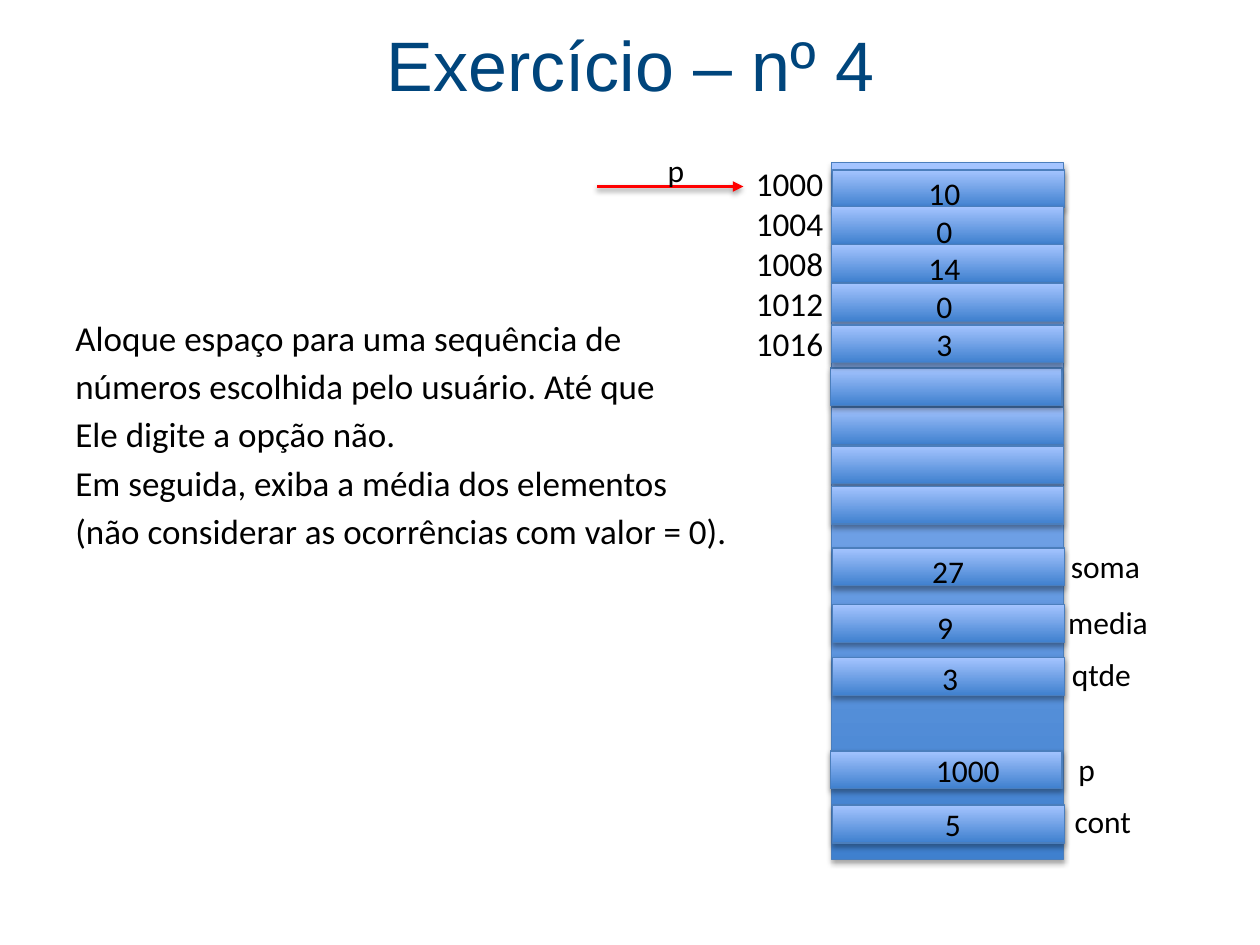
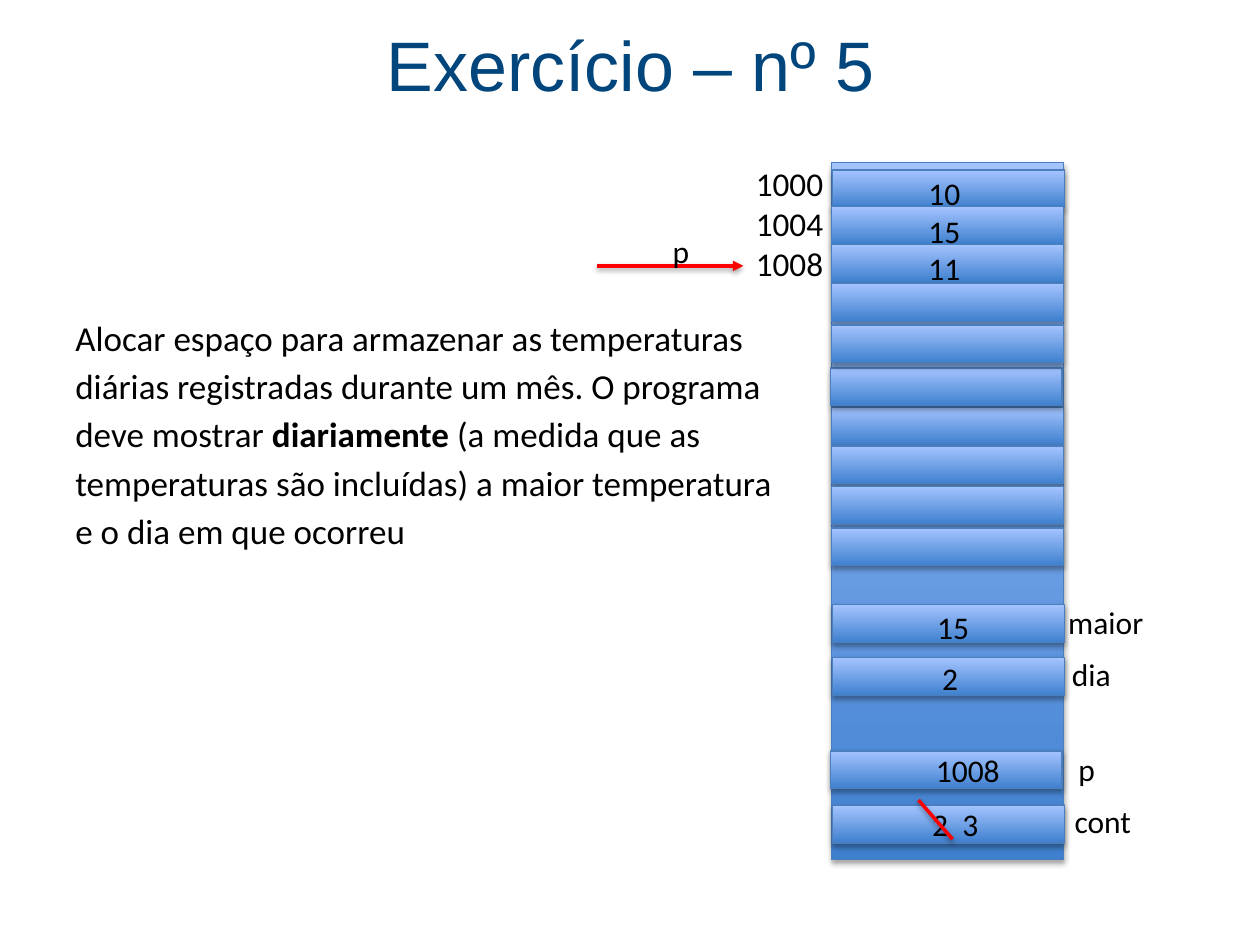
from lxml import etree
from pptx import Presentation
from pptx.dml.color import RGBColor
from pptx.enum.shapes import MSO_CONNECTOR, MSO_SHAPE
from pptx.enum.text import MSO_ANCHOR, PP_ALIGN
from pptx.oxml.ns import qn
from pptx.util import Inches, Pt

TITLE_BLUE = RGBColor(0x00, 0x45, 0x7C)
CELL_DARK = RGBColor(0x3F, 0x80, 0xCE)
CELL_LIGHT = RGBColor(0xA4, 0xC4, 0xFF)
CELL_EDGE = RGBColor(0x4B, 0x7E, 0xBC)
RED = RGBColor(0xFF, 0x00, 0x00)
BLACK = RGBColor(0x00, 0x00, 0x00)

# Memory column: (left, top) of the array cells, in inches, back to front
CELL_SIZE = (1.84, 0.3)
MEMORY = (6.6, 1.29, 1.84, 5.53)
ARRAY_CELLS = [(6.61, 1.35), (6.6, 1.64), (6.6, 1.94), (6.6, 2.25), (6.6, 3.23),
               (6.59, 2.92), (6.6, 2.58), (6.6, 3.54), (6.6, 3.86)]

# Slots for named variables: cell corner, label corner, top of the value
SLOTS = {
    "first": ((6.61, 4.35), (8.4, 4.29), 4.33),
    "second": ((6.61, 4.8), (8.38, 4.74), 4.78),
    "third": ((6.61, 5.22), (8.41, 5.15), 5.18),
    "pointer": ((6.59, 5.96), (8.46, 5.9), 5.91),
    "counter": ((6.61, 6.39), (8.43, 6.32), 6.34),
}

# Each variable: slot, name, [(value, left of its text box)]
EXERCISES = [
    {
        "title": "Exercício – nº 4",
        "statement": [
            "Aloque espaço para uma sequência de",
            "números escolhida pelo usuário. Até que",
            "Ele digite a opção não.",
            "Em seguida, exiba a média dos elementos",
            "(não considerar as ocorrências com valor = 0).",
        ],
        "addresses": ["1000", "1004", "1008", "1012", "1016"],
        "array": ["10", "0", "14", "0", "3"],
        "extra_cells": [],
        "arrow_y": 1.48,
        "arrow_label": (5.2, 1.15),
        "variables": [
            ("first", "soma", [("27", 7.3)]),
            ("second", "media", [("9", 7.34)]),
            ("third", "qtde", [("3", 7.38)]),
            ("pointer", "p", [("1000", 7.33)]),
            ("counter", "cont", [("5", 7.4)]),
        ],
        "strike": None,
    },
    {
        "title": "Exercício – nº 5",
        "statement": [
            "Alocar espaço para armazenar as temperaturas",
            "diárias registradas durante um mês. O programa",
            ["deve mostrar ", ("diariamente", True), " (a medida que as"],
            "temperaturas são incluídas) a maior temperatura",
            "e o dia em que ocorreu",
        ],
        "addresses": ["1000", "1004", "1008"],
        "array": ["10", "15", "11"],
        "extra_cells": [(6.6, 4.19)],
        "arrow_y": 2.11,
        "arrow_label": (5.24, 1.79),
        "variables": [
            ("second", "maior", [("15", 7.34)]),
            ("third", "dia", [("2", 7.38)]),
            ("pointer", "p", [("1008", 7.33)]),
            ("counter", "cont", [("2", 7.3), ("3", 7.54)]),
        ],
        "strike": ((7.29, 6.35), (7.56, 6.66)),
    },
]


def add_text(slide, lines, left, top, width=0.9, height=0.4, size=18, font="Calibri",
             color=BLACK, align=PP_ALIGN.LEFT, anchor=MSO_ANCHOR.TOP, before=0):
    """Write one paragraph per line; a line is a string or a list of runs."""
    frame = slide.shapes.add_textbox(
        Inches(left), Inches(top), Inches(width), Inches(height)).text_frame
    frame.word_wrap = True
    frame.vertical_anchor = anchor
    for index, line in enumerate([lines] if isinstance(lines, str) else lines):
        paragraph = frame.paragraphs[0] if index == 0 else frame.add_paragraph()
        paragraph.alignment = align
        paragraph.space_before = Pt(before)
        for part in [line] if isinstance(line, str) else line:
            words, bold = (part, False) if isinstance(part, str) else part
            run = paragraph.add_run()
            run.text = words
            run.font.size = Pt(size)
            run.font.name = font
            run.font.bold = bold
            run.font.color.rgb = color


def add_shadow(shape, distance, opacity):
    effects = etree.SubElement(shape._element.spPr, qn("a:effectLst"))
    shadow = etree.SubElement(effects, qn("a:outerShdw"), blurRad="40000",
                              dist=str(distance), dir="5400000", rotWithShape="0")
    tint = etree.SubElement(shadow, qn("a:srgbClr"), val="000000")
    etree.SubElement(tint, qn("a:alpha"), val=str(opacity * 1000))


def add_cell(slide, left, top, width=CELL_SIZE[0], height=CELL_SIZE[1]):
    cell = slide.shapes.add_shape(MSO_SHAPE.RECTANGLE, Inches(left), Inches(top),
                                  Inches(width), Inches(height))
    cell.fill.gradient()
    cell.fill.gradient_angle = 90
    for stop, color in zip(cell.fill.gradient_stops, (CELL_DARK, CELL_LIGHT)):
        stop.color.rgb = color
    cell.line.color.rgb = CELL_EDGE
    cell.line.width = Pt(0.75)
    add_shadow(cell, 23000, 35)


def add_red_line(slide, start, end, arrow=False):
    red_line = slide.shapes.add_connector(
        MSO_CONNECTOR.STRAIGHT, *(Inches(value) for value in start + end))
    red_line.line.color.rgb = RED
    red_line.line.width = Pt(2)
    if arrow:
        outline = red_line._element.spPr.find(qn("a:ln"))
        etree.SubElement(outline, qn("a:tailEnd"), type="triangle")
    add_shadow(red_line, 20000, 38)


def build_exercise(deck, exercise):
    slide = deck.slides.add_slide(deck.slide_layouts[6])

    # Statement and title
    add_text(slide, exercise["statement"], 0.5, 2.46, 9, 4.52, size=20, before=3.6)
    add_text(slide, exercise["title"], 0.35, 0.03, 9.31, 0.95, size=40, font="Arial",
             color=TITLE_BLUE, align=PP_ALIGN.CENTER, anchor=MSO_ANCHOR.MIDDLE)

    # Memory column with the array
    add_cell(slide, *MEMORY)
    for corner in ARRAY_CELLS + exercise["extra_cells"]:
        add_cell(slide, *corner)
    addresses, array = exercise["addresses"], exercise["array"]
    add_text(slide, addresses, 5.9, 1.25, 0.85, 0.1 + 0.32 * len(addresses), size=19)
    add_text(slide, array, 7.01, 1.33, 0.97, 0.1 + 0.3 * len(array),
             align=PP_ALIGN.CENTER)

    # Pointer arrow
    y = exercise["arrow_y"]
    add_red_line(slide, (4.74, y), (5.9, y), arrow=True)
    add_text(slide, "p", *exercise["arrow_label"], width=0.4)

    # Named variables
    for slot, name, values in exercise["variables"]:
        cell, label, value_top = SLOTS[slot]
        add_cell(slide, *cell)
        add_text(slide, name, *label)
        for value, left in values:
            add_text(slide, value, left, value_top)

    # Strike through the replaced value
    if exercise["strike"]:
        add_red_line(slide, *exercise["strike"])


def main():
    deck = Presentation()
    deck.slide_width, deck.slide_height = Inches(10), Inches(7.5)
    for exercise in EXERCISES:
        build_exercise(deck, exercise)
    deck.save("out.pptx")


if __name__ == "__main__":
    main()
